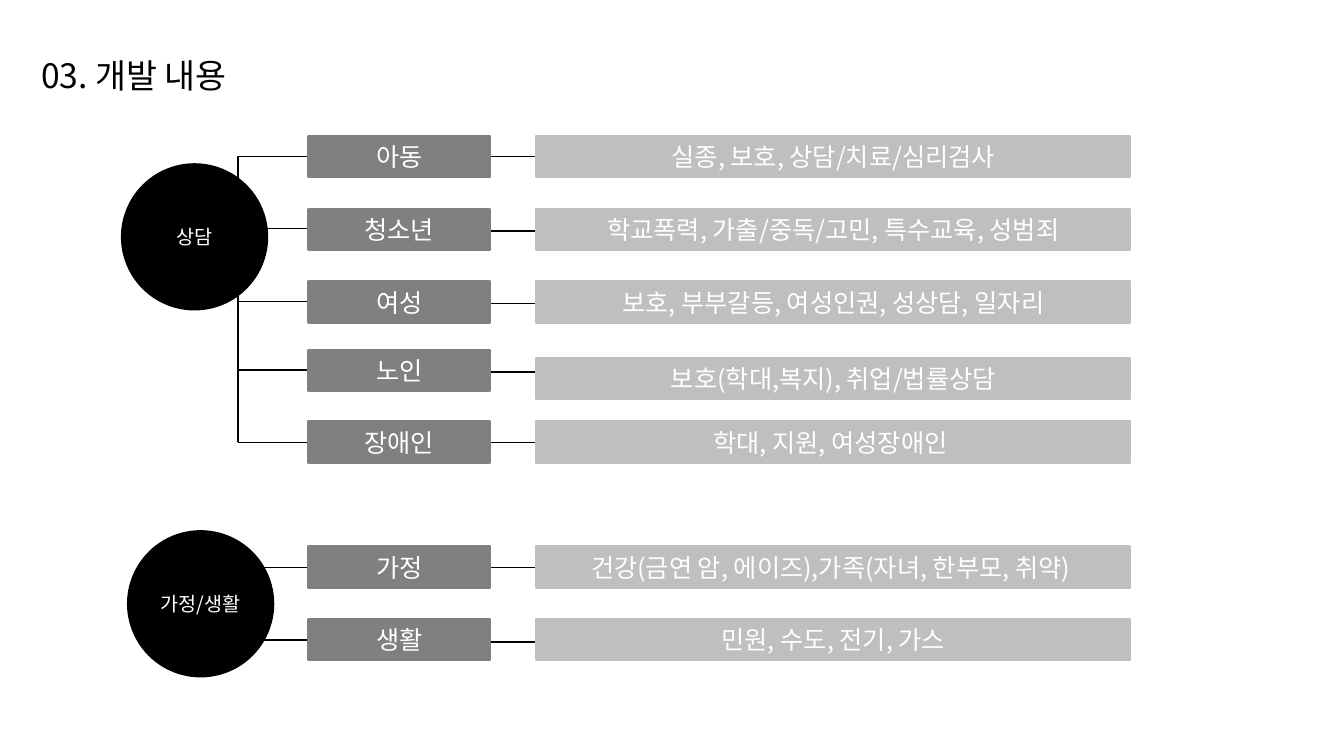
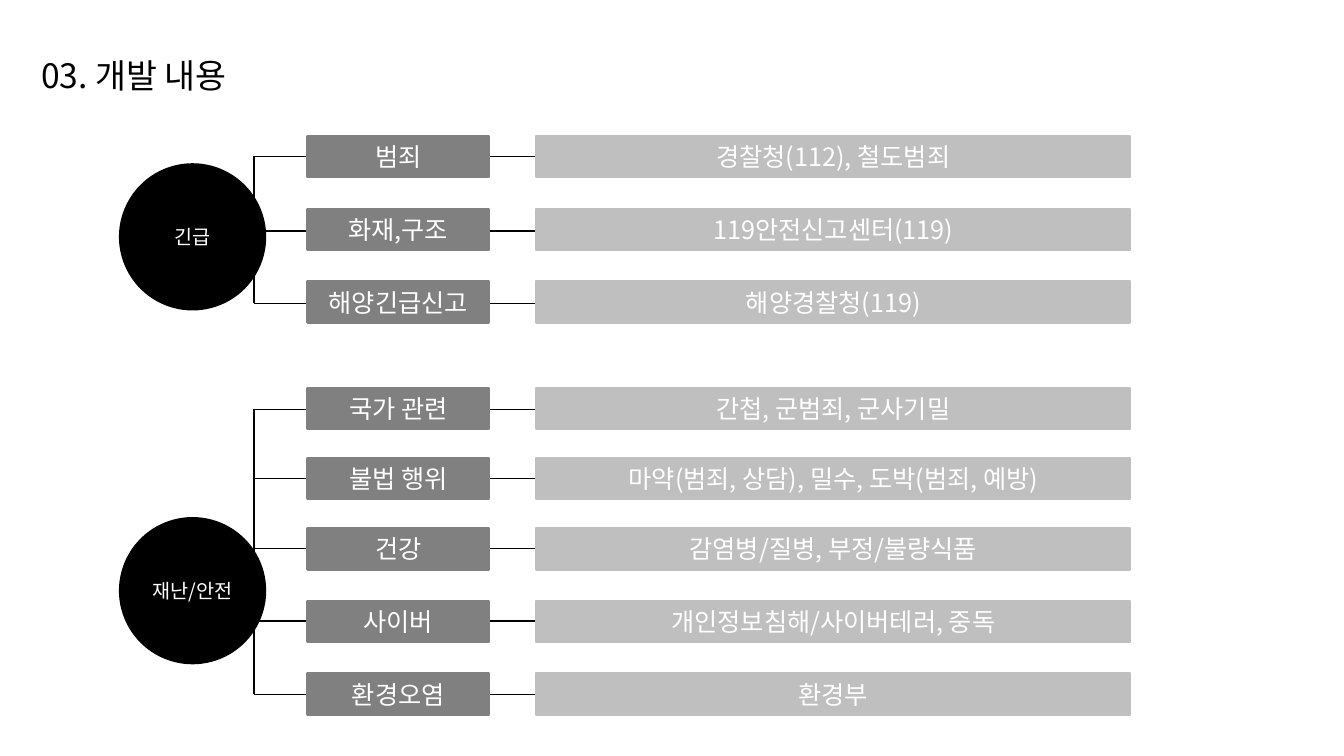
"""Build two slides that map service areas to their categories and topics."""
from dataclasses import dataclass

import lxml.etree
import pptx
import pptx.dml.color
import pptx.enum.shapes
import pptx.enum.text
import pptx.oxml.ns
import pptx.util


@dataclass(frozen=True)
class Theme:
    font: str = "Noto Sans CJK KR"
    ink: str = "000000"
    category: str = "808080"
    topics: str = "BFBFBF"
    light: str = "FFFFFF"
    title_size: int = 24
    row_size: int = 18
    area_size: int = 14
    border: float = 1.5
    connector: float = 1


THEME = Theme()
PX = 9144
SLIDE_SIZE = 1333, 750
TITLE = "03. 개발 내용"
TITLE_BOX = 31, 49, 234, 49
CIRCLE = 144
ROW_HEIGHT = 41
CATEGORY_WIDTH = 180
TOPICS_LEFT, TOPICS_WIDTH = 532, 589

# Each row: category, topics, category top, topics top, branch y, link y.
SLIDES = [
    {
        "spine": 236,
        "category_left": 306,
        "areas": [
            ("상담", (121, 163), [
                ("아동", "실종, 보호, 상담/치료/심리검사", 135, 135, 155, 155),
                ("청소년", "학교폭력, 가출/중독/고민, 특수교육, 성범죄", 207, 207, 227, 229),
                ("여성", "보호, 부부갈등, 여성인권, 성상담, 일자리", 279, 279, 299, 301),
                ("노인", "보호(학대,복지), 취업/법률상담", 347, 355, 367, 369),
                ("장애인", "학대, 지원, 여성장애인 ", 418, 418, 439, 439),
            ]),
            ("가정/생활", (127, 527), [
                ("가정", "건강(금연 암, 에이즈),가족(자녀, 한부모, 취약) ", 542, 542, 563, 563),
                ("생활", "민원, 수도, 전기, 가스", 614, 614, 635, 637),
            ]),
        ],
    },
    {
        "spine": 252,
        "category_left": 305,
        "areas": [
            ("긴급", (119, 163), [
                ("범죄", "경찰청(112), 철도범죄", 135, 135, 155, 155),
                ("화재,구조", "119안전신고센터(119)", 207, 207, 229, 229),
                ("해양긴급신고", "해양경찰청(119)", 279, 279, 301, 301),
            ]),
            ("재난/안전", (119, 514), [
                ("국가 관련", "간첩, 군범죄, 군사기밀", 385, 385, 406, 406),
                ("불법 행위", "마약(범죄, 상담), 밀수, 도박(범죄, 예방)", 454, 454, 475, 475),
                ("건강", "감염병/질병, 부정/불량식품", 524, 524, 544, 544),
                ("사이버", "개인정보침해/사이버테러, 중독", 596, 596, 616, 616),
                ("환경오염", "환경부", 668, 668, 689, 689),
            ]),
        ],
    },
]


def rgb(value):
    return pptx.dml.color.RGBColor.from_string(value)


def emu(*lengths):
    return [pptx.util.Emu(length * PX) for length in lengths]


def write(frame, text, size, color, align):
    frame.text = text
    paragraph = frame.paragraphs[0]
    paragraph.alignment = align
    for run in paragraph.runs:
        run.font.size = pptx.util.Pt(size)
        run.font.name = THEME.font
        run.font.color.rgb = rgb(color)
        east_asian = lxml.etree.SubElement(
            run.font._element, pptx.oxml.ns.qn("a:ea"))
        east_asian.set("typeface", THEME.font)


def add_title(slide):
    title = slide.shapes.title
    title.left, title.top, title.width, title.height = emu(*TITLE_BOX)
    frame = title.text_frame
    frame.word_wrap = False
    frame.auto_size = pptx.enum.text.MSO_AUTO_SIZE.SHAPE_TO_FIT_TEXT
    frame.vertical_anchor = pptx.enum.text.MSO_ANCHOR.TOP
    write(frame, TITLE, THEME.title_size, THEME.ink, pptx.enum.text.PP_ALIGN.LEFT)


def add_block(slide, kind, box, color, text, size):
    block = slide.shapes.add_shape(kind, *emu(*box))
    block.shadow.inherit = False
    block.fill.solid()
    block.fill.fore_color.rgb = rgb(color)
    block.line.color.rgb = rgb(color)
    block.line.width = pptx.util.Pt(THEME.border)
    block.text_frame.word_wrap = True
    block.text_frame.vertical_anchor = pptx.enum.text.MSO_ANCHOR.MIDDLE
    write(block.text_frame, text, size, THEME.light, pptx.enum.text.PP_ALIGN.CENTER)


def add_line(slide, *ends):
    line = slide.shapes.add_connector(
        pptx.enum.shapes.MSO_CONNECTOR.STRAIGHT, *emu(*ends))
    line.line.color.rgb = rgb(THEME.ink)
    line.line.width = pptx.util.Pt(THEME.connector)
    lxml.etree.SubElement(line._element.spPr, pptx.oxml.ns.qn("a:effectLst"))


def add_area(slide, spine, category_left, name, corner, rows):
    shapes = pptx.enum.shapes.MSO_SHAPE
    category_right = category_left + CATEGORY_WIDTH
    add_line(slide, spine, rows[0][4], spine, rows[-1][4])
    for category, topics, category_top, topics_top, branch, link in rows:
        add_line(slide, spine, branch, category_left, branch)
        add_line(slide, category_right, link, TOPICS_LEFT, link)
        add_block(slide, shapes.RECTANGLE,
                  (category_left, category_top, CATEGORY_WIDTH, ROW_HEIGHT),
                  THEME.category, category, THEME.row_size)
        add_block(slide, shapes.RECTANGLE,
                  (TOPICS_LEFT, topics_top, TOPICS_WIDTH, ROW_HEIGHT),
                  THEME.topics, topics, THEME.row_size)
    add_block(slide, shapes.OVAL, (*corner, CIRCLE, CIRCLE),
              THEME.ink, name, THEME.area_size)


def main():
    deck = pptx.Presentation()
    deck.slide_width, deck.slide_height = emu(*SLIDE_SIZE)
    for content in SLIDES:
        slide = deck.slides.add_slide(deck.slide_layouts.get_by_name("Title Only"))
        add_title(slide)
        for area in content["areas"]:
            add_area(slide, content["spine"], content["category_left"], *area)
    deck.save("out.pptx")


if __name__ == "__main__":
    main()
